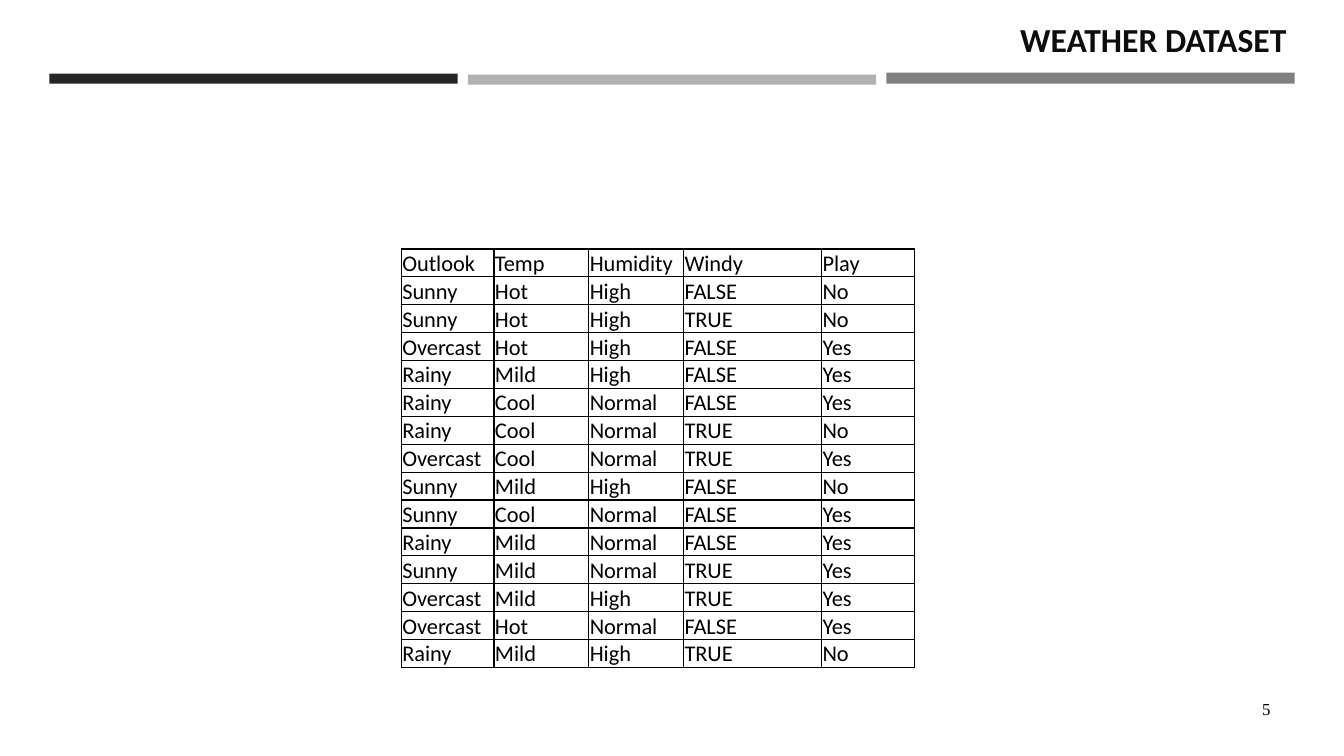
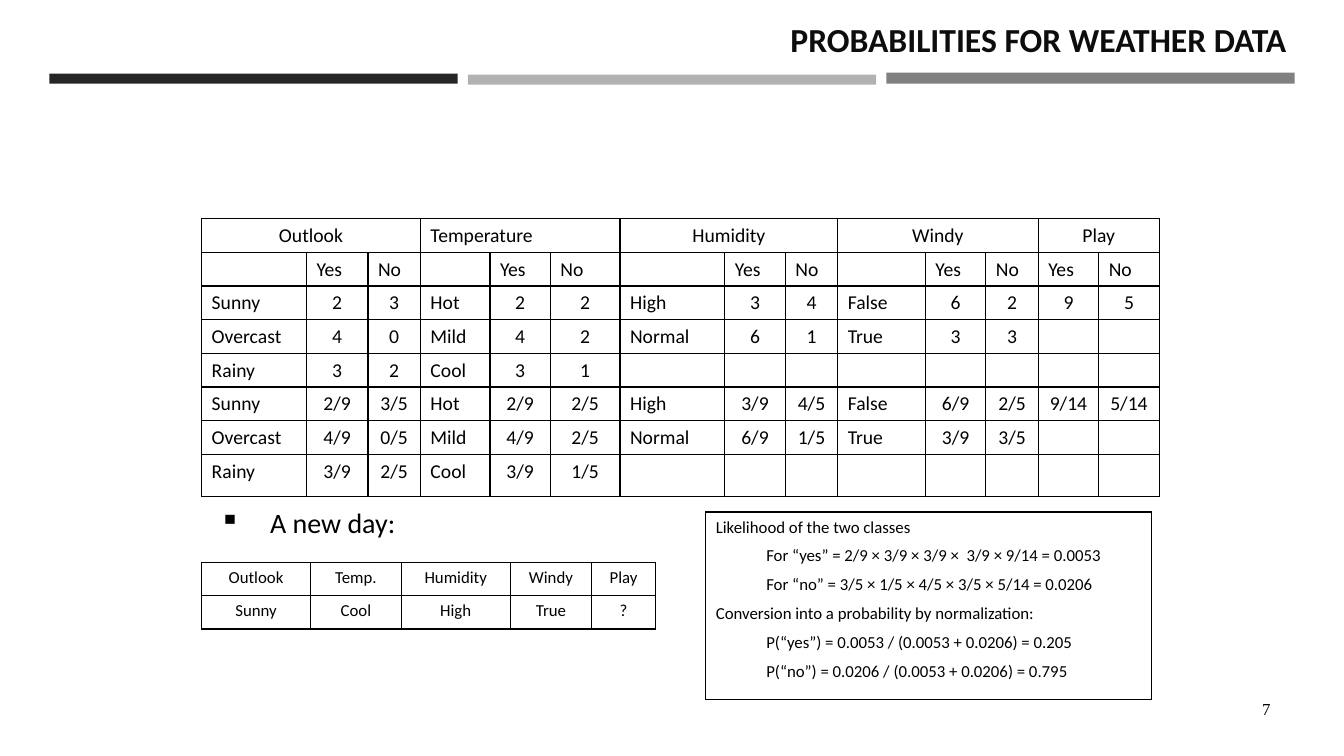
from lxml.etree import SubElement
from pptx import Presentation
from pptx.dml.color import RGBColor
from pptx.enum.shapes import MSO_SHAPE
from pptx.enum.text import MSO_ANCHOR, MSO_AUTO_SIZE, PP_ALIGN
from pptx.oxml.ns import qn
from pptx.util import Pt

PX = 9144  # 100 px to the inch
FONT = "Calibri"
NUMBER_FONT = "Times New Roman"
BLACK = RGBColor(0x00, 0x00, 0x00)
TITLE_COLOR = RGBColor(0x0D, 0x0D, 0x0D)
DARK = RGBColor(0x26, 0x26, 0x26)
LIGHT = RGBColor(0xB2, 0xB2, 0xB2)
MID = RGBColor(0x80, 0x80, 0x80)
BANDS = [(49, 73, 10, DARK), (464, 74, 10, LIGHT), (879, 72, 11, MID)]
BAND_WIDTH = 405

WEATHER = [row.split() for row in (
    "Outlook Temp Humidity Windy Play",
    "Sunny Hot High FALSE No",
    "Sunny Hot High TRUE No",
    "Overcast Hot High FALSE Yes",
    "Rainy Mild High FALSE Yes",
    "Rainy Cool Normal FALSE Yes",
    "Rainy Cool Normal TRUE No",
    "Overcast Cool Normal TRUE Yes",
    "Sunny Mild High FALSE No",
    "Sunny Cool Normal FALSE Yes",
    "Rainy Mild Normal FALSE Yes",
    "Sunny Mild Normal TRUE Yes",
    "Overcast Mild High TRUE Yes",
    "Overcast Hot Normal FALSE Yes",
    "Rainy Mild High TRUE No",
)]

GROUPS = ["Outlook", "Temperature", "Humidity", "Windy", "Play"]
GROUP_SIZE = 3
PROBABILITY_COLS = [104, 61, 52, 69, 60, 69, 104, 60, 52, 87, 60, 52, 60, 60]
PROBABILITIES = [row.split() for row in (
    "Sunny 2 3 Hot 2 2 High 3 4 False 6 2 9 5",
    "Overcast 4 0 Mild 4 2 Normal 6 1 True 3 3",
    "Rainy 3 2 Cool 3 1",
    "Sunny 2/9 3/5 Hot 2/9 2/5 High 3/9 4/5 False 6/9 2/5 9/14 5/14",
    "Overcast 4/9 0/5 Mild 4/9 2/5 Normal 6/9 1/5 True 3/9 3/5",
    "Rainy 3/9 2/5 Cool 3/9 1/5",
)]

NEW_DAY = [["Outlook", "Temp.", "Humidity", "Windy", "Play"],
           ["Sunny", "Cool", "High", "True", "?"]]

LIKELIHOOD = [
    (0, "Likelihood of the two classes"),
    (1, "For “yes” = 2/9 × 3/9 × 3/9 ×  3/9 × 9/14 = 0.0053"),
    (1, "For “no” = 3/5 × 1/5 × 4/5 × 3/5 × 5/14 = 0.0206"),
    (0, "Conversion into a probability by normalization:"),
    (1, "P(“yes”) = 0.0053 / (0.0053 + 0.0206) = 0.205"),
    (1, "P(“no”) = 0.0206 / (0.0053 + 0.0206) = 0.795"),
]


def px(*values):
    return [v * PX for v in values]


def write(p, text, size, color=BLACK, font=FONT, bold=False, align=PP_ALIGN.LEFT):
    p.text = text
    p.alignment = align
    for r in p.runs:
        r.font.size = Pt(size)
        r.font.name = font
        r.font.bold = bold
        r.font.color.rgb = color
    if not text:  # keeps an empty cell from growing its row
        SubElement(p._p, qn("a:endParaRPr"), sz=str(size * 100))


def add_text_box(s, box, anchor=MSO_ANCHOR.TOP):
    tf = s.shapes.add_textbox(*px(*box)).text_frame
    tf.word_wrap = True
    tf.vertical_anchor = anchor
    return tf


def add_titled_slide(prs, title, number):
    s = prs.slides.add_slide(prs.slide_layouts[5])
    for left, top, height, color in BANDS:
        sp = s.shapes.add_shape(MSO_SHAPE.RECTANGLE, *px(left, top, BAND_WIDTH, height))
        sp.shadow.inherit = False
        sp.fill.solid()
        sp.fill.fore_color.rgb = color
        sp.line.fill.background()
    sp = s.shapes.title
    sp.left, sp.top, sp.width, sp.height = px(36, 13, 1250, 51)
    tf = sp.text_frame
    tf.auto_size = MSO_AUTO_SIZE.NONE
    tf.vertical_anchor = MSO_ANCHOR.MIDDLE
    write(tf.paragraphs[0], title, 24, TITLE_COLOR, bold=True, align=PP_ALIGN.RIGHT)
    tf = add_text_box(s, (1155, 683, 115, 40), MSO_ANCHOR.MIDDLE)
    write(tf.paragraphs[0], str(number), 12, font=NUMBER_FONT, align=PP_ALIGN.RIGHT)
    return s


def add_borders(cell):
    tc_pr = cell._tc.get_or_add_tcPr()
    for side in ("a:lnL", "a:lnR", "a:lnT", "a:lnB"):
        ln = SubElement(tc_pr, qn(side), w=str(Pt(1)))
        fill = SubElement(ln, qn("a:solidFill"))
        SubElement(fill, qn("a:srgbClr"), val=str(BLACK))


def add_grid(s, left, top, cols, rows):
    """Add an unfilled table with black borders from column and row sizes."""
    frame = s.shapes.add_table(len(rows), len(cols), *px(left, top, sum(cols), sum(rows)))
    table = frame.table
    table.first_row = table.horz_banding = False
    for col, width in zip(table.columns, cols):
        col.width = width * PX
    for row, height in zip(table.rows, rows):
        row.height = height * PX
    for cell in table.iter_cells():
        add_borders(cell)
        cell.fill.background()
    return table


def fill_grid(table, data, size, align_at, first_row=0):
    """Write data; short rows leave the cells at their end empty."""
    for i, values in enumerate(data, first_row):
        padded = values + [""] * (len(table.columns) - len(values))
        for j, text in enumerate(padded):
            p = table.cell(i, j).text_frame.paragraphs[0]
            write(p, text, size, align=align_at(i, j))


def add_weather_table(s):
    table = add_grid(s, 398, 247, [92, 94, 94, 137, 92], [27] * len(WEATHER))
    for cell in table.iter_cells():
        cell.margin_left = cell.margin_right = cell.margin_top = PX
        cell.margin_bottom = 0
        cell.vertical_anchor = MSO_ANCHOR.MIDDLE
    fill_grid(table, WEATHER, 16, lambda i, j: PP_ALIGN.LEFT)


def add_probability_table(s):
    def align_at(i, j):
        is_label = j % GROUP_SIZE == 0 and j < 12
        return PP_ALIGN.LEFT if i == 1 or is_label else PP_ALIGN.CENTER

    table = add_grid(s, 200, 217, PROBABILITY_COLS, [33] * 7 + [42])
    answers = ["Yes", "No"]
    fill_grid(table, [["", *answers] * 4 + answers] + PROBABILITIES, 14, align_at, 1)
    last = len(PROBABILITY_COLS) - 1
    for k, group in enumerate(GROUPS):
        start = k * GROUP_SIZE
        cell = table.cell(0, start)
        cell.merge(table.cell(0, min(start + GROUP_SIZE - 1, last)))
        align = PP_ALIGN.LEFT if group == "Temperature" else PP_ALIGN.CENTER
        write(cell.text_frame.paragraphs[0], group, 14, align=align)


def add_new_day(s):
    p = add_text_box(s, (208, 500, 349, 69)).paragraphs[0]
    p.line_spacing = 0.9
    p_pr = p._p.get_or_add_pPr()
    p_pr.set("marL", str(50 * PX))
    p_pr.set("indent", str(-50 * PX))
    color = SubElement(p_pr, qn("a:buClr"))
    SubElement(color, qn("a:srgbClr"), val=str(BLACK))
    SubElement(p_pr, qn("a:buChar"), char="▪")
    write(p, "A new day:", 20)
    table = add_grid(s, 200, 558, [108, 90, 108, 81, 63], [33, 33])
    fill_grid(table, NEW_DAY, 12, lambda i, j: PP_ALIGN.CENTER)


def add_likelihood(s):
    tf = add_grid(s, 700, 508, [442], [186]).cell(0, 0).text_frame
    for i, (level, text) in enumerate(LIKELIHOOD):
        p = tf.add_paragraph() if i else tf.paragraphs[0]
        p.level = level
        p._p.get_or_add_pPr().set("marL", str(level * 50 * PX))
        if i:
            p.space_before = Pt(6)
        write(p, text, 12)


def main():
    prs = Presentation()
    prs.slide_width, prs.slide_height = px(1333, 750)
    s = add_titled_slide(prs, "WEATHER DATASET", 5)
    add_weather_table(s)
    s = add_titled_slide(prs, "PROBABILITIES FOR WEATHER DATA", 7)
    add_probability_table(s)
    add_new_day(s)
    add_likelihood(s)
    prs.save("out.pptx")


if __name__ == "__main__":
    main()
